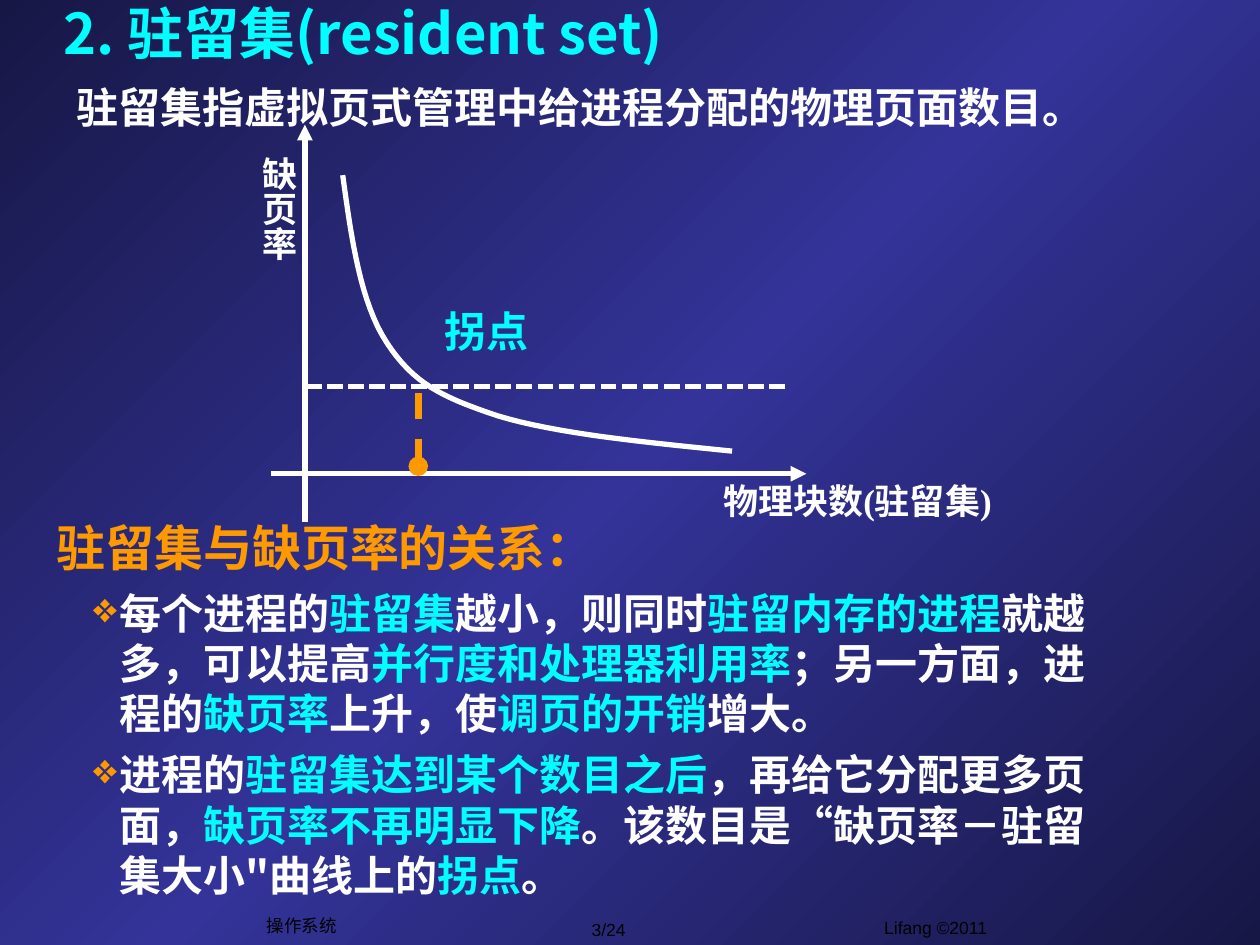
"""Build the slide on resident sets and the page-fault-rate curve."""
from copy import deepcopy
from dataclasses import dataclass

from pptx import Presentation
from pptx import util as u
from pptx.dml.color import RGBColor
from pptx.enum import dml, shapes, text
from pptx.oxml import ns
from lxml import etree

PX = 9144


@dataclass(frozen=True)
class Theme:
    edge: str = "171746"
    middle: str = "333399"
    white: str = "FFFFFF"
    cyan: str = "00FFFF"
    orange: str = "FF9900"
    black: str = "000000"
    sans: str = "Noto Sans CJK SC"
    serif: str = "Times New Roman"
    plain: str = "Arial"
    title: int = 32
    heading: int = 28
    body: int = 24
    axis: int = 20
    footer: int = 10


T = Theme()


def write(p, words, size=T.body, font=T.sans, color=T.white, accent=T.cyan,
          bold=True, align=text.PP_ALIGN.LEFT):
    p.alignment = align
    for i, part in enumerate(words.split("|")):
        if part:
            r = p.add_run()
            r.text = part
            r.font.size, r.font.name, r.font.bold = u.Pt(size), font, bold
            r.font.color.rgb = RGBColor.from_string(accent if i % 2 else color)
            ea = etree.SubElement(r._r.get_or_add_rPr(), ns.qn("a:ea"))
            ea.set("typeface", T.sans)


def stroke(sp, color=T.white, width=3, dash=None, head=None, tail=None):
    sp.line.color.rgb = RGBColor.from_string(color)
    sp.line.width = u.Pt(width)
    if dash:
        sp.line.dash_style = dash
    ln = sp.line._get_or_add_ln()
    for tag, kind in (("a:headEnd", head), ("a:tailEnd", tail)):
        if kind:
            etree.SubElement(ln, ns.qn(tag)).set("type", kind)
    etree.SubElement(sp._element.spPr, ns.qn("a:effectLst"))


prs = Presentation()
prs.slide_width, prs.slide_height = 1000 * PX, 750 * PX
s = prs.slides.add_slide(prs.slide_layouts[5])

fill = s.background.fill
fill.gradient()
fill.gradient_angle = 135
stops = s._element.find(".//" + ns.qn("a:gsLst"))
stops.insert(1, deepcopy(stops[0]))
for stop, pos, color in zip(fill.gradient_stops, (0, 0.5, 1), (T.edge, T.middle, T.edge)):
    stop.position = pos
    stop.color.rgb = RGBColor.from_string(color)

title = s.shapes.title
title.left, title.top, title.width, title.height = 0, 0, 577 * PX, 51 * PX
tf = title.text_frame
tf.auto_size = text.MSO_AUTO_SIZE.NONE
tf.vertical_anchor = text.MSO_ANCHOR.MIDDLE
write(tf.paragraphs[0], "2. 驻留集(resident set)", size=T.title, color=T.cyan,
      align=text.PP_ALIGN.CENTER)

footer = dict(size=T.footer, font=T.plain, color=T.black, bold=False,
              align=text.PP_ALIGN.CENTER)
axis = dict(size=T.axis, font=T.serif, align=text.PP_ALIGN.CENTER)
top, mid = text.MSO_ANCHOR.TOP, text.MSO_ANCHOR.MIDDLE
boxes = {}
for words, (x, y, w, h), wrap, anchor, style in (
    ("Lifang ©2011", (584, 723, 317, 35), True, top, footer),
    ("3/24", (432, 724, 102, 27), False, mid, footer),
    ("操作系统", (202, 721, 75, 27), False, mid, footer),
    ("驻留集指虚拟页式管理中给进程分配的物理页面数目。", (51, 60, 874, 50), True, top,
     dict(font=T.serif)),
    ("驻留集与缺页率的关系：", (35, 406, 865, 314), True, top,
     dict(size=T.heading, color=T.orange)),
    ("物理块数(驻留集)", (554, 375, 253, 44), False, mid, axis),
    ("缺页率", (195, 114, 53, 94), False, mid, axis),
    ("拐点", (343, 242, 111, 46), True, top, dict(font=T.plain, color=T.cyan)),
):
    sp = s.shapes.add_textbox(x * PX, y * PX, w * PX, h * PX)
    tf = sp.text_frame
    tf.word_wrap, tf.vertical_anchor = wrap, anchor
    write(tf.paragraphs[0], words, **style)
    boxes[words] = tf

boxes["拐点"].paragraphs[0].line_spacing = 0.9
tf = boxes["缺页率"]
tf._txBody.bodyPr.set("vert", "eaVert")
tf.margin_left = tf.margin_right = 5 * PX
tf.margin_top = tf.margin_bottom = 10 * PX

for words in (
    "每个进程的|驻留集|越小，则同时|驻留内存的进程|就越多，可以提高|并行度和处理器利用率|"
    "；另一方面，进程的|缺页率|上升，使|调页的开销|增大。",
    "进程的|驻留集达到某个数目之后|，再给它分配更多页面，|缺页率不再明显下降|"
    "。该数目是“缺页率－驻留集大小\"曲线上的|拐点|。",
):
    p = boxes["驻留集与缺页率的关系："].add_paragraph()
    p.level = 1
    p.space_before = u.Pt(6)
    pPr = p._p.get_or_add_pPr()
    pPr.set("marL", str(50 * PX))
    pPr.set("indent", str(-21 * PX))
    bullet = etree.SubElement(pPr, ns.qn("a:buClr"))
    etree.SubElement(bullet, ns.qn("a:srgbClr")).set("val", T.orange)
    etree.SubElement(pPr, ns.qn("a:buChar")).set("char", "❖")
    write(p, words)

for (x1, y1, x2, y2), style in (
    ((242, 99, 242, 414), dict(head="triangle")),
    ((215, 376, 640, 376), dict(tail="triangle")),
    ((243, 307, 623, 307), dict(dash=dml.MSO_LINE.SQUARE_DOT)),
    ((332, 312, 332, 370), dict(color=T.orange, width=3.75, dash=dml.MSO_LINE.DASH,
                                tail="oval")),
):
    stroke(s.shapes.add_connector(shapes.MSO_CONNECTOR.STRAIGHT,
                                  x1 * PX, y1 * PX, x2 * PX, y2 * PX), **style)

knots = [(272, 139), (279, 190), (286, 240), (307, 272), (328, 304),
         (350, 315), (395, 330), (441, 344), (511, 351), (581, 358)]
STEPS = 16
curve = []
for k in range(0, len(knots) - 1, 3):
    for i in range(1, STEPS + 1):
        t = i / STEPS
        weights = ((1 - t) ** 3, 3 * t * (1 - t) ** 2, 3 * t * t * (1 - t), t ** 3)
        curve.append([sum(w * c for w, c in zip(weights, axis_values)) * PX
                      for axis_values in zip(*knots[k:k + 4])])
fb = s.shapes.build_freeform(knots[0][0] * PX, knots[0][1] * PX)
fb.add_line_segments(curve, close=False)
sp = fb.convert_to_shape()
sp.fill.background()
stroke(sp)

prs.save("out.pptx")
